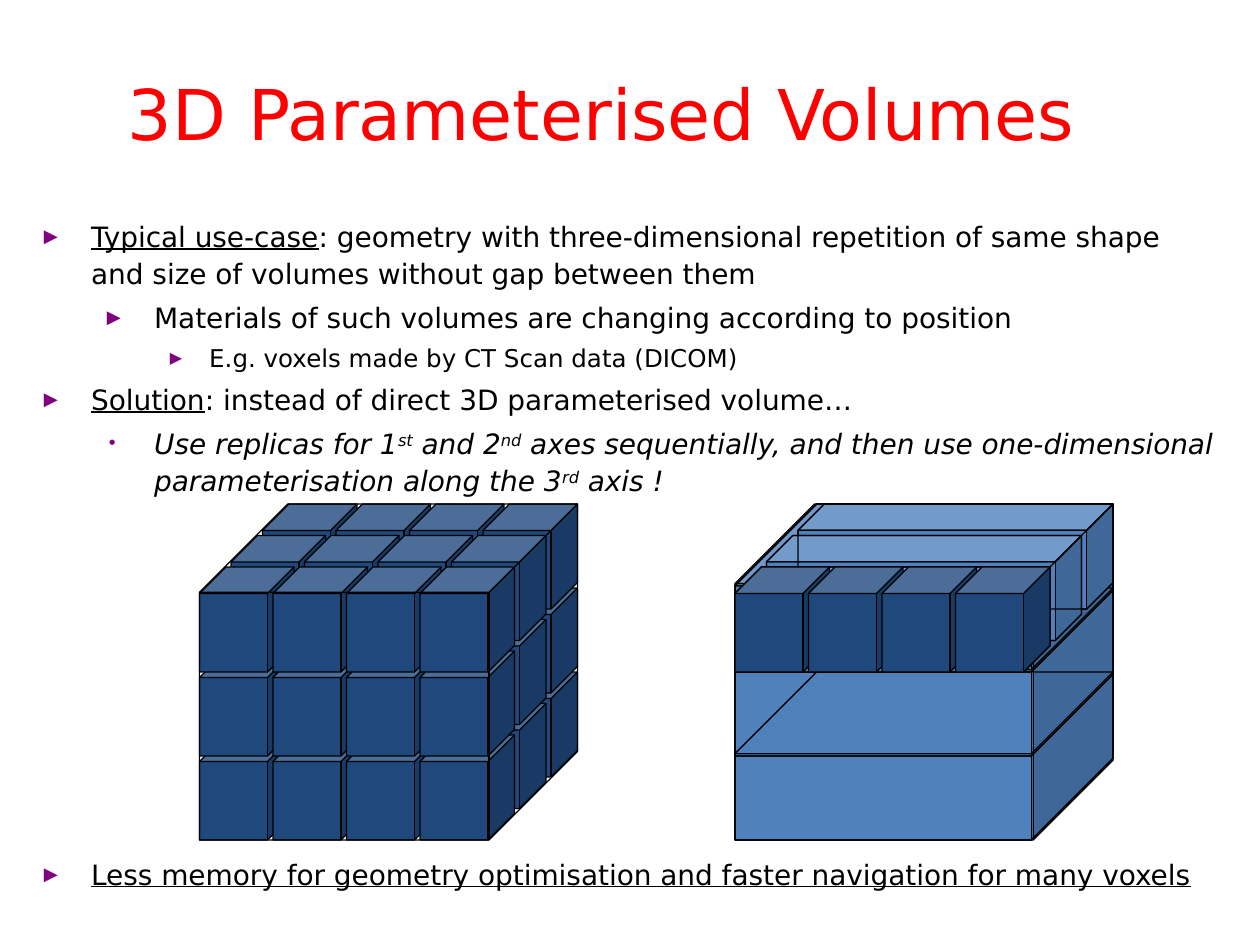
from dataclasses import dataclass

from lxml import etree
from pptx import Presentation
from pptx import util as u
from pptx.dml.color import RGBColor
from pptx.enum import shapes, text
from pptx.oxml import ns

NAVY = RGBColor(0x1F, 0x49, 0x7D)
BLUE = RGBColor(0x4F, 0x81, 0xBD)
PURPLE = RGBColor(0x80, 0x00, 0x80)
RED = RGBColor(0xFF, 0x00, 0x00)
BLACK = RGBColor(0x00, 0x00, 0x00)
FONT = "DejaVu Sans"

GRID_LEFT, REPLICA_LEFT, TOP = 114, 420, 288
COLUMNS, ROWS, LAYERS = 4, 3, 3
COLUMN_STEP, ROW_STEP, LAYER_STEP = 42, 18, 48
UNDERLINE = {"underline": True}
ITALIC = {"italic": True}


@dataclass(frozen=True)
class Block:
    width: float
    height: float
    depth: float
    fill: RGBColor | None


@dataclass(frozen=True)
class Span:
    words: str
    style: dict
    baseline: int = 0


@dataclass(frozen=True)
class Bullet:
    spans: list[Span]
    level: int = 0
    size: float = 16
    before: float = 4
    symbol: str = "▶"


VOXEL = Block(54, 60, 0.28, NAVY)
SLAB = Block(216, 96, 0.486, BLUE)
SLAB_FRAME = Block(216, 96, 0.486, None)
BAR = Block(180, 60, 0.25, BLUE)
BAR_FRAME = Block(180, 60, 0.25, None)
REPLICA_FRAME = Block(216, 192, 0.237, None)
GRID_FRAME = Block(216, 192, 0.263, None)

INDENTS = [(27, -27), (63, -27), (94.5, -22.5)]
BULLETS = [
    Bullet([
        Span("Typical use-case", UNDERLINE),
        Span(": geometry with three-dimensional repetition of same shape "
             "and size of volumes without gap between them", {}),
    ]),
    Bullet([Span("Materials of such volumes are changing according to position", {})], 1),
    Bullet([Span("E.g. voxels made by CT Scan data (DICOM)", {})], 2, 14, 3.5),
    Bullet([
        Span("Solution", UNDERLINE),
        Span(": instead of direct 3D parameterised volume…", {}),
    ]),
    Bullet([
        Span("Use replicas for 1", ITALIC),
        Span("st", ITALIC, 30),
        Span(" and 2", ITALIC),
        Span("nd", ITALIC, 30),
        Span(" axes sequentially, and then use one-dimensional "
             "parameterisation along the 3", ITALIC),
        Span("rd", ITALIC, 30),
        Span(" axis !", ITALIC),
    ], 1, symbol="•"),
    Bullet([Span("Less memory for geometry optimisation and faster navigation "
                 "for many voxels", UNDERLINE)], before=204),
]


def set_attributes(target, values: dict) -> None:
    for name, value in values.items():
        setattr(target, name, value)


def add_block(slide, block: Block, left: float, top: float) -> None:
    shape = slide.shapes.add_shape(
        shapes.MSO_SHAPE.CUBE, u.Pt(left), u.Pt(top), u.Pt(block.width), u.Pt(block.height))
    shape.adjustments[0] = block.depth
    shape.shadow.inherit = False
    if block.fill is None:
        shape.fill.background()
    else:
        shape.fill.solid()
        shape.fill.fore_color.rgb = block.fill
    shape.line.color.rgb = BLACK
    shape.line.width = u.Pt(0.75)


def add_voxel_row(slide, left: float, top: float) -> None:
    for column in range(COLUMNS):
        add_block(slide, VOXEL, left + column * COLUMN_STEP, top)


def add_text_frame(slide, left: float, top: float, width: float, height: float):
    box = slide.shapes.add_textbox(u.Pt(left), u.Pt(top), u.Pt(width), u.Pt(height))
    box.text_frame.word_wrap = True
    return box.text_frame


def add_run(paragraph, span: Span, size: float, color: RGBColor) -> None:
    run = paragraph.add_run()
    run.text = span.words
    set_attributes(run.font, {"name": FONT, "size": u.Pt(size), **span.style})
    run.font.color.rgb = color
    if span.baseline:
        run._r.get_or_add_rPr().set("baseline", str(span.baseline * 1000))


def add_marker(paragraph, bullet: Bullet) -> None:
    properties = paragraph._p.get_or_add_pPr()
    margin, indent = INDENTS[bullet.level]
    properties.set("marL", str(u.Pt(margin)))
    properties.set("indent", str(u.Pt(indent)))
    color = etree.SubElement(properties, ns.qn("a:buClr"))
    etree.SubElement(color, ns.qn("a:srgbClr"), val=str(PURPLE))
    etree.SubElement(properties, ns.qn("a:buSzPct"), val="65000")
    etree.SubElement(properties, ns.qn("a:buFont"), typeface=FONT)
    etree.SubElement(properties, ns.qn("a:buChar"), char=bullet.symbol)


def add_bullets(slide) -> None:
    frame = add_text_frame(slide, 18, 120, 684, 390)
    for index, bullet in enumerate(BULLETS):
        paragraph = frame.add_paragraph() if index else frame.paragraphs[0]
        set_attributes(paragraph, {
            "level": bullet.level,
            "line_spacing": 1.1,
            "space_before": u.Pt(bullet.before),
        })
        add_marker(paragraph, bullet)
        for span in bullet.spans:
            add_run(paragraph, span, bullet.size, BLACK)


def add_title(slide) -> None:
    frame = add_text_frame(slide, 66, 36, 618, 56)
    frame.vertical_anchor = text.MSO_ANCHOR.BOTTOM
    paragraph = frame.paragraphs[0]
    paragraph.line_spacing = 1.02
    add_run(paragraph, Span("3D Parameterised Volumes", {}), 40, RED)


def add_voxel_grid(slide) -> None:
    for layer in reversed(range(LAYERS)):
        for row in range(ROWS):
            left = GRID_LEFT + (ROWS - 1 - row) * ROW_STEP
            add_voxel_row(slide, left, TOP + layer * LAYER_STEP + row * ROW_STEP)
    add_block(slide, GRID_FRAME, GRID_LEFT, TOP)


def add_replicas(slide) -> None:
    for slab in (SLAB, SLAB_FRAME):
        for layer in reversed(range(LAYERS)):
            add_block(slide, slab, REPLICA_LEFT, TOP + layer * LAYER_STEP)
    for bar in (BAR, BAR_FRAME):
        for row in range(ROWS):
            left = REPLICA_LEFT + (ROWS - 1 - row) * ROW_STEP
            add_block(slide, bar, left, TOP + row * ROW_STEP)
    add_block(slide, REPLICA_FRAME, REPLICA_LEFT, TOP)
    add_voxel_row(slide, REPLICA_LEFT, TOP + (ROWS - 1) * ROW_STEP)


def main() -> None:
    presentation = Presentation()
    set_attributes(presentation, {"slide_width": u.Pt(720), "slide_height": u.Pt(540)})
    slide = presentation.slides.add_slide(presentation.slide_layouts[6])
    add_bullets(slide)
    add_voxel_grid(slide)
    add_replicas(slide)
    add_title(slide)
    presentation.save("out.pptx")


if __name__ == "__main__":
    main()
